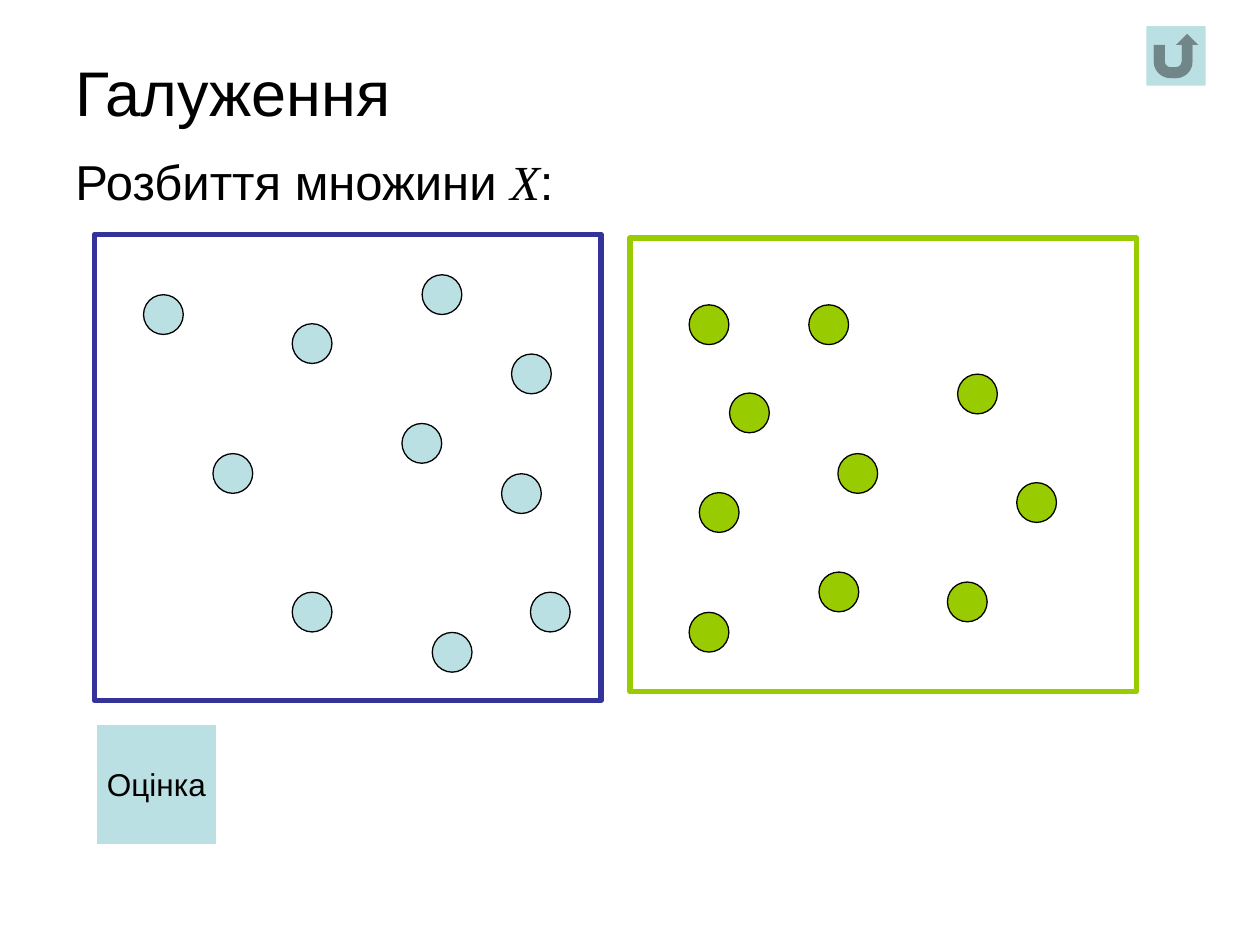
from pptx import Presentation
from pptx.dml.color import RGBColor
from pptx.enum.shapes import MSO_SHAPE
from pptx.enum.text import MSO_ANCHOR, PP_ALIGN
from pptx.util import Pt

OVAL, RECT = MSO_SHAPE.OVAL, MSO_SHAPE.RECTANGLE
BUTTON, RETURN = MSO_SHAPE.ACTION_BUTTON_CUSTOM, MSO_SHAPE.ACTION_BUTTON_RETURN
TOP, MIDDLE = MSO_ANCHOR.TOP, MSO_ANCHOR.MIDDLE
LEFT, CENTER = PP_ALIGN.LEFT, PP_ALIGN.CENTER

THEME = {
    "text": "000000", "pale": "BBE0E3", "navy": "333399", "green": "99CC00",
    "sans": "Arial", "serif": "Times New Roman",
    "title": 36, "body": 28, "button": 18, "frame": 3, "outline": 0.75,
}
DOT = 22.7

TITLE = [("Галуження", False)]
BODY = [("Розбиття множини ", False), ("X", True), (":", False)]
BUTTON_LABEL = [("Оцінка", False)]
SUBSETS = [
    {"frame": (54, 133.9, 289.4, 266.4), "line": "navy", "fill": "pale",
     "dots": [(82, 168.4), (167, 185), (241.2, 157), (229.7, 242), (121.7, 259.2),
              (167, 338.4), (247, 361.4), (292.3, 202.3), (303.1, 338.4), (286.6, 270.7)]},
    {"frame": (360, 136, 289.4, 259.2), "line": "green", "fill": "green",
     "dots": [(393.8, 174.2), (416.9, 224.6), (399.6, 281.5), (393.8, 349.9), (468, 326.9),
              (478.8, 259.2), (462.2, 174.2), (547.2, 213.8), (541.4, 332.6), (581, 275.8)]},
]


def color(name):
    return RGBColor.from_string(THEME[name])


def add_shape(s, kind, box, fill=None, line=None, width="outline"):
    sp = s.shapes.add_shape(kind, *map(Pt, box))
    sp.shadow.inherit = False
    if fill:
        sp.fill.solid()
        sp.fill.fore_color.rgb = color(fill)
    else:
        sp.fill.background()
    if line:
        sp.line.color.rgb = color(line)
        sp.line.width = Pt(THEME[width])
    else:
        sp.line.fill.background()
    return sp


def write(sp, runs, size="body", anchor=TOP, align=LEFT, wrap=True):
    tf = sp.text_frame
    tf.word_wrap = wrap
    tf.vertical_anchor = anchor
    p = tf.paragraphs[0]
    p.alignment = align
    for text, variable in runs:
        r = p.add_run()
        r.text = text
        r.font.name = THEME["serif" if variable else "sans"]
        r.font.size = Pt(THEME[size])
        r.font.italic = variable
        r.font.color.rgb = color("text")


def main():
    """Build the slide that shows a set split into two subsets."""
    prs = Presentation()
    prs.slide_width, prs.slide_height = Pt(720), Pt(540)
    s = prs.slides.add_slide(prs.slide_layouts[6])

    title = s.shapes.add_textbox(*map(Pt, (36, 21.6, 648, 61.2)))
    write(title, TITLE, size="title", anchor=MIDDLE)
    body = s.shapes.add_textbox(*map(Pt, (36, 82.8, 647.3, 399.6)))
    write(body, BODY)

    for subset in SUBSETS:
        for x, y in subset["dots"]:
            add_shape(s, OVAL, (x, y, DOT, DOT), fill=subset["fill"], line="text")
    for subset in SUBSETS:
        add_shape(s, RECT, subset["frame"], line=subset["line"], width="frame")

    button = add_shape(s, BUTTON, (55.4, 414, 68, 68), fill="pale")
    write(button, BUTTON_LABEL, size="button", anchor=MIDDLE, align=CENTER, wrap=False)
    add_shape(s, RETURN, (655, 15, 34, 34), fill="pale")

    prs.save("out.pptx")


if __name__ == "__main__":
    main()
